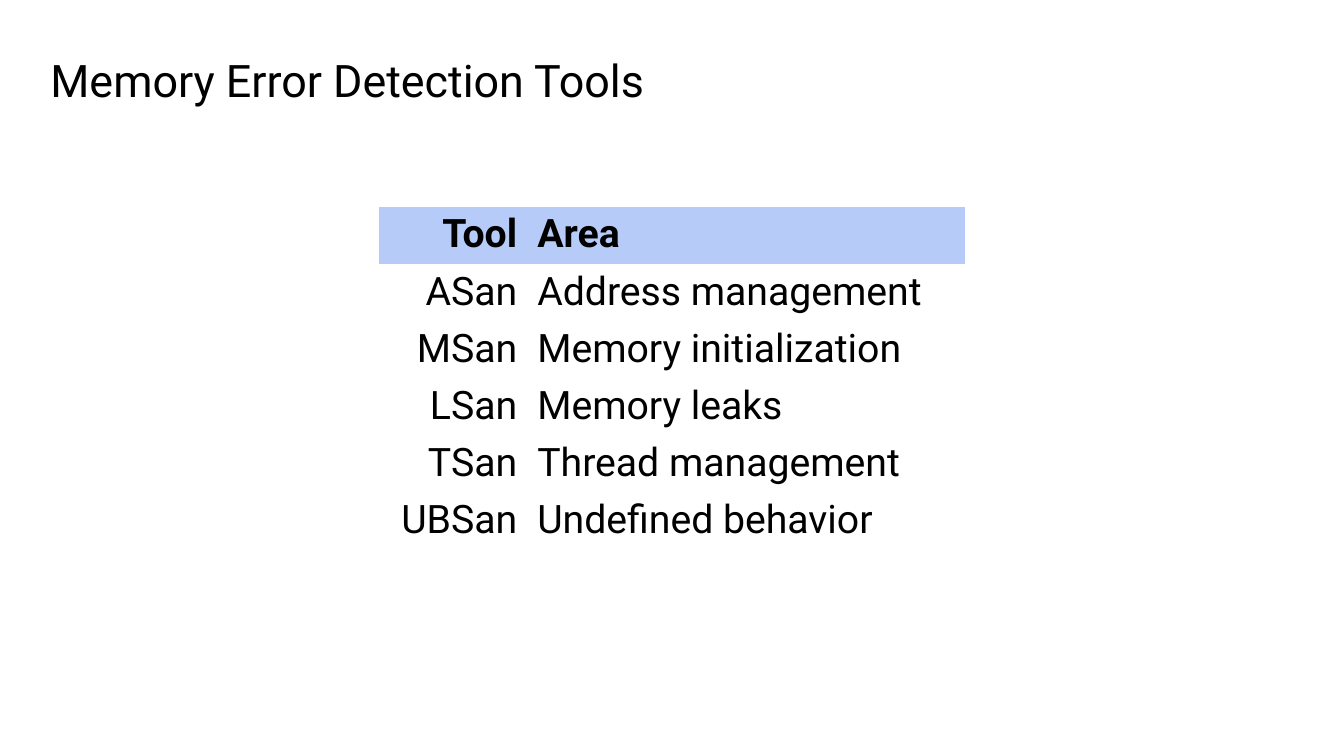
"""Build the slide on memory error detection tools."""
from pptx import Presentation
from pptx import util as u
from pptx.dml.color import RGBColor
from pptx.enum import text
from pptx.oxml.ns import qn

TITLE = "Memory Error Detection Tools"
TOOLS = [
    ("Tool", "Area"),
    ("ASan", "Address management"),
    ("MSan", "Memory initialization"),
    ("LSan", "Memory leaks"),
    ("TSan", "Thread management"),
    ("UBSan", "Undefined behavior"),
]
THEME = {
    "font": "Roboto",
    "ink": RGBColor.from_string("000000"),
    "head": RGBColor.from_string("B7CBF9"),
    "title": u.Pt(32),
    "body": u.Pt(28),
    "grid": "{2D5ABB26-0587-4C30-8999-92F81FD0307C}",
}
WIDTHS = (1.47, 4.34)
ROW = 0.55
SIDES = (text.PP_ALIGN.RIGHT, text.PP_ALIGN.LEFT)


def apply(item, form):
    for name, value in form.items():
        setattr(item, name, value)


def write(frame, words, size, bold=False, side=text.PP_ALIGN.LEFT):
    line = frame.paragraphs[0]
    line.alignment = side
    run = line.add_run()
    run.text = words
    apply(run.font, {"name": THEME["font"], "size": size, "bold": bold})
    run.font.color.rgb = THEME["ink"]


def add_title(slide):
    box = slide.shapes.add_textbox(*map(u.Inches, (0.5, 0.5, 12.33, 0.57)))
    apply(box.text_frame, {
        "word_wrap": True,
        "vertical_anchor": text.MSO_ANCHOR.MIDDLE,
        "margin_left": 0, "margin_right": 0,
        "margin_top": 0, "margin_bottom": 0,
    })
    write(box.text_frame, TITLE, THEME["title"])


def add_tools(slide):
    area = (3.76, 2.05, sum(WIDTHS), ROW * len(TOOLS))
    table = slide.shapes.add_table(
        len(TOOLS), len(WIDTHS), *map(u.Inches, area)).table
    apply(table, {"first_row": False, "horz_banding": False})
    table._tbl.tblPr.find(qn("a:tableStyleId")).text = THEME["grid"]
    for col, width in zip(table.columns, WIDTHS):
        col.width = u.Inches(width)
    for r, row in enumerate(TOOLS):
        for c, words in enumerate(row):
            cell = table.cell(r, c)
            if r == 0:
                cell.fill.solid()
                cell.fill.fore_color.rgb = THEME["head"]
            else:
                cell.fill.background()
            write(cell.text_frame, words, THEME["body"], r == 0, SIDES[c])


def main():
    deck = Presentation()
    apply(deck, {"slide_width": u.Inches(13.33), "slide_height": u.Inches(7.5)})
    slide = deck.slides.add_slide(deck.slide_layouts[6])
    add_title(slide)
    add_tools(slide)
    deck.save("out.pptx")


if __name__ == "__main__":
    main()
